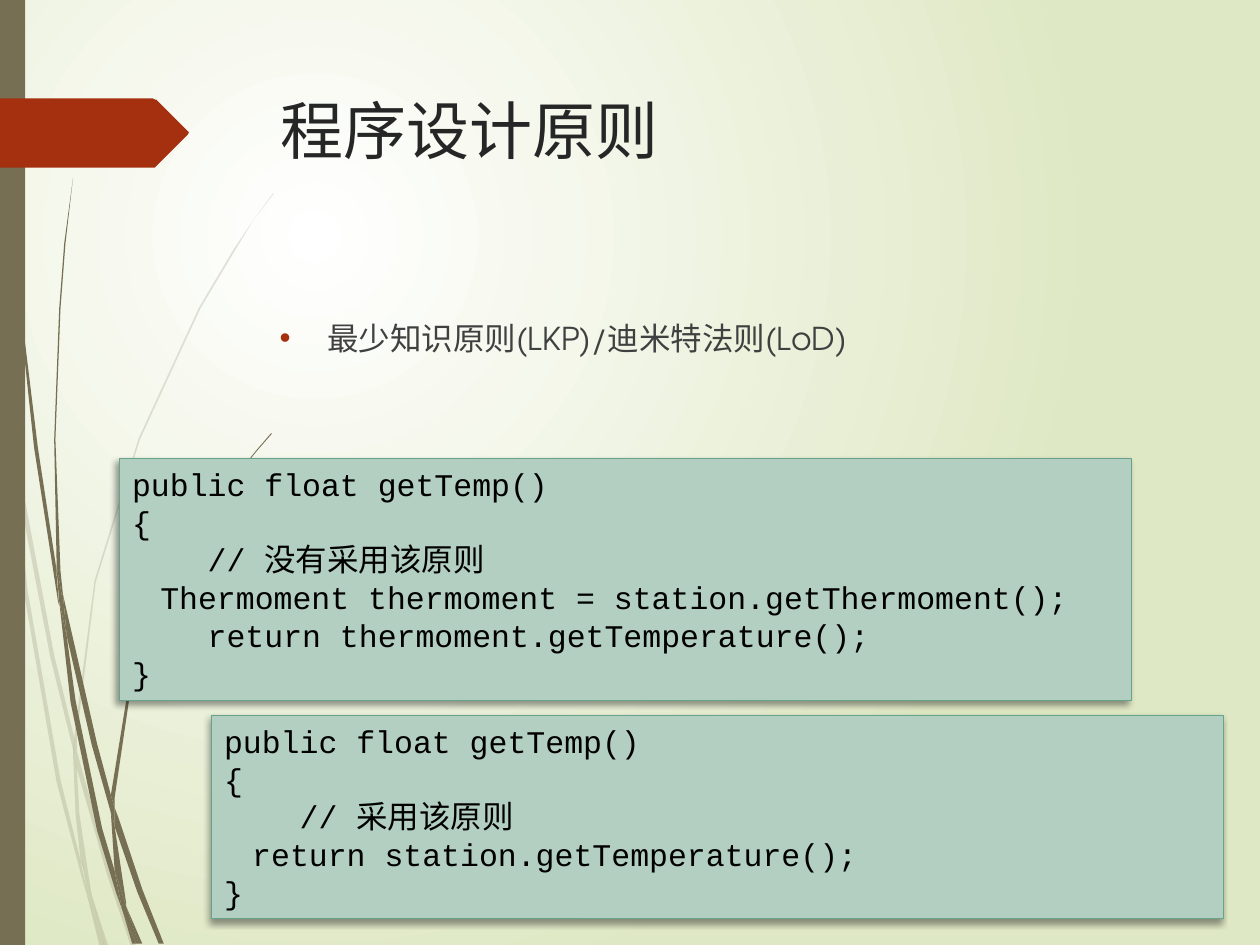
from lxml import etree
from pptx import Presentation
from pptx import util as u
from pptx.dml.color import RGBColor
from pptx.enum import shapes, text
from pptx.oxml import parse_xml
from pptx.oxml.ns import nsdecls, qn

OLIVE, RED = "766F54", "A53010"
SAGE, GREEN = "B3CFC2", "65A48B"
HEADING_FONT, CODE_FONT = "TeX Gyre Adventor", "Courier New"


def paint(fill, color):
    fill.solid()
    fill.fore_color.rgb = RGBColor.from_string(color)


def write(frame, words, *, font, size, color, spacing=None):
    """Fill a frame with one left-aligned paragraph and return it."""
    frame.word_wrap = True
    frame.vertical_anchor = text.MSO_ANCHOR.TOP
    para = frame.paragraphs[0]
    para.text = words
    para.alignment = text.PP_ALIGN.LEFT
    para.line_spacing = spacing
    for span in para.runs:
        span.font.name = font
        span.font.size = u.Pt(size)
        paint(span.font.fill, color)
    return para


deck = Presentation()
deck.slide_width, deck.slide_height = u.Inches(10), u.Inches(7.5)
page = deck.slides.add_slide(deck.slide_layouts[5])

# Background: radial glow centred in the upper left quarter
page.background.fill.solid()
backdrop = page.element.cSld.find(qn("p:bg")).find(qn("p:bgPr"))
backdrop.replace(backdrop[0], parse_xml(
    f'<a:gradFill {nsdecls("a")} rotWithShape="1"><a:gsLst>'
    '<a:gs pos="0"><a:srgbClr val="FFFFFF"/></a:gs>'
    '<a:gs pos="100000"><a:srgbClr val="DFE8C4"/></a:gs></a:gsLst>'
    '<a:path path="circle"><a:fillToRect l="50000" t="50000" r="100000" b="100000"/>'
    '</a:path></a:gradFill>'))

# Outlines as x,y points in hundredths of an inch
pale_wisps = [
    "8,350 6,322 0,282 0,299 7,344",
    "40,522 59,599 59,586 43,520 10,345 12,376",
    "64,607 61,596 61,610 85,694 104,751 108,751 88,692",
    "83,751 86,751 73,711",
    "64,683 48,619 22,469 12,376 8,350 19,470 45,621 64,693 70,714 69,707",
    "58,599 60,646 64,683 67,692 73,711 72,706 63,646 61,610 61,608",
    "61,584 76,462 111,349 159,245 187,198 201,175 217,154 217,153 201,175 "
    "186,197 158,244 110,348 75,461 59,584 59,586 61,596",
    "70,714 79,751 82,751",
    "61,608 61,610 61,596 59,586 58,599",
    "67,692 65,683 69,707 70,714 82,751 83,751 73,711",
]
dark_wisps = [
    "5,110 14,233 27,355 46,477 47,481 45,457 45,453 30,355 15,232 6,109 4,48 "
    "3,0 2,0 3,48",
    "73,592 88,645 88,633 88,631 77,590 50,472 53,505",
    "94,649 91,641 91,656 109,708 126,749 130,749 113,706",
    "91,691 81,657 60,556 53,505 47,477 56,557 77,659 92,708 97,722 96,717",
    "50,472 48,453 44,349 48,245 52,193 58,141 58,141 51,193 47,245 43,349 "
    "45,449 49,472",
    "110,749 113,749 100,719",
    "47,477 53,505 50,472 49,472 45,449 45,453",
    "91,633 103,552 131,476 169,406 191,374 203,359 216,344 215,344 203,358 "
    "191,373 168,405 129,474 101,551 88,631 91,641",
    "97,722 105,749 108,749",
    "88,645 91,691 96,706 100,719 100,716 91,656 90,651",
    "88,645 90,651 91,656 91,641 88,631 88,633",
    "96,706 91,691 96,717 97,722 108,749 110,749 100,719",
]
arrow_tab = ["149,107 124,132 123,133 121,133 0,133 0,78 121,78 123,79 124,79 149,104 150,105"]

for outlines, color, opacity in ((pale_wisps, OLIVE, 20), (dark_wisps, OLIVE, 100),
                                 (arrow_tab, RED, 100)):
    for outline in outlines:
        points = [tuple(map(int, pair.split(","))) for pair in outline.split()]
        builder = page.shapes.build_freeform(*points[0], scale=u.Inches(0.01))
        builder.add_line_segments(points[1:], close=True)
        piece = builder.convert_to_shape()
        piece.shadow.inherit = False
        piece.line.fill.background()
        paint(piece.fill, color)
        if opacity < 100:
            tint = piece.element.spPr.find(qn("a:solidFill"))[0]
            etree.SubElement(tint, qn("a:alpha")).set("val", str(opacity * 1000))

side_bar = page.shapes.add_shape(shapes.MSO_SHAPE.RECTANGLE, 0, 0, u.Inches(0.2), u.Inches(7.5))
side_bar.shadow.inherit = False
side_bar.line.fill.background()
paint(side_bar.fill, OLIVE)
# The red tab lies over the side bar
piece.element.addprevious(side_bar.element)

title = page.shapes.title
title.left, title.top = u.Inches(2.13), u.Inches(0.68)
title.width, title.height = u.Inches(7.21), u.Inches(1.4)
write(title.text_frame, "程序设计原则", font=HEADING_FONT, size=36, color="262626")

body = page.shapes.add_textbox(u.Inches(2.12), u.Inches(2.33), u.Inches(7.21), u.Inches(4.13))
principle = write(body.text_frame, "最少知识原则(LKP)/迪米特法则(LoD)",
                  font=HEADING_FONT, size=18, color="404040", spacing=1.5)
props = principle._p.get_or_add_pPr()
props.set("marL", str(u.Inches(0.38)))
props.set("indent", str(-u.Inches(0.38)))
for bullet in (f'<a:buClr {nsdecls("a")}><a:srgbClr val="{RED}"/></a:buClr>',
               f'<a:buFont {nsdecls("a")} typeface="Arial"/>',
               f'<a:buChar {nsdecls("a")} char="•"/>'):
    props.append(parse_xml(bullet))

without_principle = """public float getTemp()
{
    // 没有采用该原则
    Thermoment thermoment = station.getThermoment();
    return thermoment.getTemperature();
}"""
with_principle = """public float getTemp()
{
    // 采用该原则
    return station.getTemperature();
}"""

for code, left, top, height in ((without_principle, 0.95, 3.64, 1.92),
                                (with_principle, 1.68, 5.68, 1.61)):
    box = page.shapes.add_shape(shapes.MSO_SHAPE.RECTANGLE, u.Inches(left), u.Inches(top),
                                u.Inches(8.03), u.Inches(height))
    paint(box.fill, SAGE)
    paint(box.line.fill, GREEN)
    box.line.width = u.Pt(0.75)
    box.shadow.inherit = False
    box.element.spPr.find(qn("a:effectLst")).append(parse_xml(
        f'<a:outerShdw {nsdecls("a")} blurRad="{u.Pt(4)}" dist="{u.Pt(3)}" dir="8100000" '
        'rotWithShape="0"><a:srgbClr val="000000"><a:alpha val="40000"/></a:srgbClr>'
        '</a:outerShdw>'))
    # Non-breaking spaces keep each code line whole
    write(box.text_frame, code.replace(" ", chr(160)), font=CODE_FONT, size=18, color="000000")

deck.save("out.pptx")
